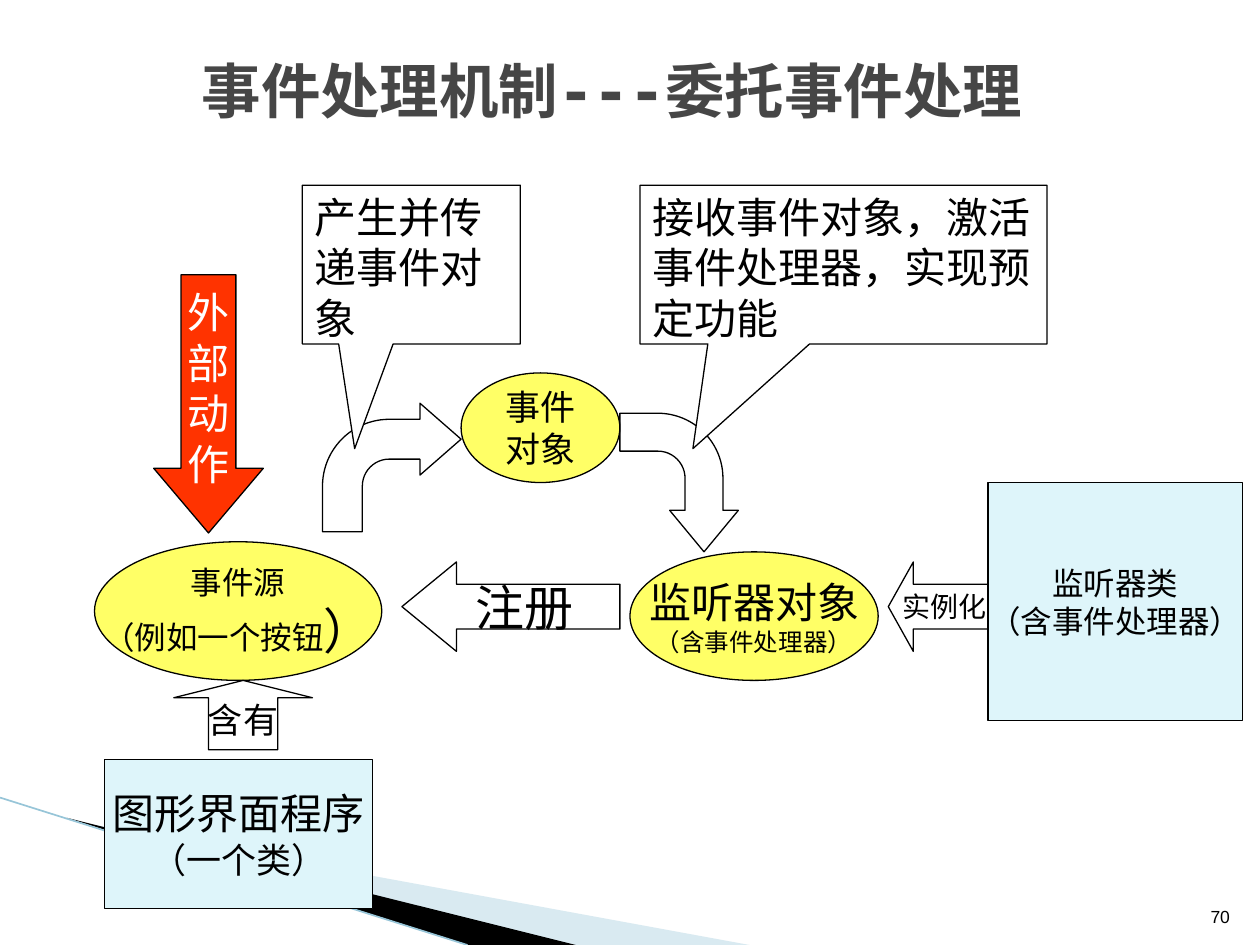
from dataclasses import dataclass

from lxml.etree import SubElement
from pptx import Presentation
from pptx.dml.color import RGBColor
from pptx.enum.shapes import MSO_CONNECTOR, MSO_SHAPE
from pptx.enum.text import MSO_ANCHOR, MSO_AUTO_SIZE, PP_ALIGN
from pptx.oxml.ns import qn
from pptx.util import Inches, Pt


@dataclass(frozen=True)
class Theme:
    ink: str = "000000"
    white: str = "FFFFFF"
    title: str = "464646"
    pale_blue: str = "DEF5FA"
    yellow: str = "FFFF66"
    red: str = "FF3300"
    band: str = "A0CBDC"
    band_line: str = "97C5D8"
    body_font: str = "Times New Roman"
    title_font: str = "DejaVu Sans Mono"
    number_font: str = "Arial"
    title_size: int = 34
    large: int = 28
    main: int = 24
    medium: int = 20
    small: int = 18
    label: int = 16
    note: int = 14
    number: int = 10
    outline: float = 0.75
    band_outline: float = 0.95


THEME = Theme()


@dataclass(frozen=True)
class Box:
    left: float
    top: float
    width: float
    height: float

    def inner(self, x, y, width, height):
        return Box(self.left + x, self.top + y, width, height)

    def point(self, x, y):
        return Inches(self.left + x), Inches(self.top + y)

    def lengths(self):
        return [Inches(v) for v in (self.left, self.top, self.width, self.height)]


def color(code):
    return RGBColor.from_string(code)


def add_run(paragraph, text, size, ink=THEME.ink, font=THEME.body_font, bold=False):
    run = paragraph.add_run()
    run.text = text
    run.font.size = Pt(size)
    run.font.name = font
    run.font.bold = bold
    run.font.color.rgb = color(ink)


def add_lines(frame, lines, align, ink=THEME.ink):
    for index, runs in enumerate(lines):
        paragraph = frame.add_paragraph() if index else frame.paragraphs[0]
        paragraph.alignment = align
        for text, size in runs:
            add_run(paragraph, text, size, ink)


def add_figure(slide, kind, box, fill=None, lines=(), adjust=(), ink=THEME.ink,
               align=PP_ALIGN.CENTER, anchor=MSO_ANCHOR.MIDDLE, wrap=False):
    figure = slide.shapes.add_shape(kind, *box.lengths())
    figure.shadow.inherit = False
    if fill:
        figure.fill.solid()
        figure.fill.fore_color.rgb = color(fill)
    else:
        figure.fill.background()
    figure.line.color.rgb = color(THEME.ink)
    figure.line.width = Pt(THEME.outline)
    for index, value in enumerate(adjust):
        figure.adjustments[index] = value
    figure.text_frame.word_wrap = wrap
    figure.text_frame.vertical_anchor = anchor
    add_lines(figure.text_frame, lines, align, ink)
    return figure


def add_band(slide, box, corners, fill, opacity=100):
    points = [box.point(*corner) for corner in corners]
    builder = slide.shapes.build_freeform(*points[0], scale=1.0)
    builder.add_line_segments(points[1:], close=True)
    band = builder.convert_to_shape()
    band.shadow.inherit = False
    band.fill.solid()
    band.fill.fore_color.rgb = color(fill)
    band.line.fill.background()
    if opacity < 100:
        tone = band._element.spPr.find(qn("a:solidFill"))[0]
        SubElement(tone, qn("a:alpha"), val=str(opacity * 1000))


def add_corner_bands(slide, box):
    add_band(slide, box, [(0.55, 0.18), (5.95, 1.17), (4.56, 1.17)], THEME.band, 40)
    add_band(slide, box, [(0.53, 0.16), (4.57, 1.17), (3.72, 1.17)], THEME.ink)
    edge = slide.shapes.add_connector(
        MSO_CONNECTOR.STRAIGHT, *box.point(0, 0), *box.point(3.71, 1.17))
    edge.line.color.rgb = color(THEME.band_line)
    edge.line.width = Pt(THEME.band_outline)
    SubElement(edge._element.spPr, qn("a:effectLst"))


def add_title(slide, box):
    title = slide.shapes.title
    title.left, title.top, title.width, title.height = box.lengths()
    frame = title.text_frame
    frame.word_wrap = True
    frame.auto_size = MSO_AUTO_SIZE.NONE
    frame.vertical_anchor = MSO_ANCHOR.MIDDLE
    paragraph = frame.paragraphs[0]
    paragraph.alignment = PP_ALIGN.LEFT
    add_run(paragraph, "事件处理机制---委托事件处理", THEME.title_size,
            THEME.title, THEME.title_font, True)


def add_page_number(slide, box):
    frame = slide.shapes.add_textbox(*box.lengths()).text_frame
    frame.word_wrap = True
    frame.vertical_anchor = MSO_ANCHOR.BOTTOM
    paragraph = frame.paragraphs[0]
    paragraph.alignment = PP_ALIGN.RIGHT
    add_run(paragraph, "70", THEME.number, font=THEME.number_font)


def add_listener_side(slide, box):
    add_figure(slide, MSO_SHAPE.RECTANGLE, box.inner(2.84, 0, 2.02, 1.89), THEME.pale_blue,
               [[("监听器类", THEME.small)], [("（含事件处理器）", THEME.small)]])
    add_figure(slide, MSO_SHAPE.OVAL, box.inner(0, 0.55, 1.97, 1.02), THEME.yellow,
               [[("监听器对象", THEME.main)], [("（含事件处理器）", THEME.note)]])
    add_figure(slide, MSO_SHAPE.LEFT_ARROW, box.inner(2.05, 0.63, 0.79, 0.71),
               lines=[[("实例化", THEME.label)]], adjust=(0.5, 0.28))


def add_event_flow(slide, box):
    add_figure(slide, MSO_SHAPE.LEFT_ARROW, box.inner(0.63, 1.5, 1.73, 0.71),
               lines=[[("注册", THEME.large)]], adjust=(0.5, 0.61))
    to_listener = add_figure(slide, MSO_SHAPE.BENT_ARROW, box.inner(2.28, 0.4, 1.1, 0.94),
                             adjust=(0.32, 0.29, 0.35, 0.55))
    to_listener.rotation = 90
    add_figure(slide, MSO_SHAPE.OVAL, box.inner(1.1, 0, 1.26, 0.87), THEME.yellow,
               [[("事件", THEME.medium)], [("对象", THEME.medium)]])
    add_figure(slide, MSO_SHAPE.BENT_ARROW, box.inner(0, 0.24, 1.1, 1.02),
               adjust=(0.31, 0.28, 0.32, 0.52))


def add_callouts(slide, box):
    callouts = [
        (0, 1.73, -0.26, "产生并传递事件对象"),
        (2.68, 3.23, -0.37, "接收事件对象，激活事件处理器，实现预定功能"),
    ]
    for x, width, tail, text in callouts:
        add_figure(slide, MSO_SHAPE.RECTANGULAR_CALLOUT, box.inner(x, 0, width, box.height),
                   THEME.white, [[(text, THEME.main)]], (tail, 1.16),
                   align=PP_ALIGN.LEFT, anchor=MSO_ANCHOR.TOP, wrap=True)


def add_source_side(slide, box):
    add_figure(slide, MSO_SHAPE.RECTANGLE, box.inner(0.08, 3.85, 2.13, 1.18), THEME.pale_blue,
               [[("图形界面程序", THEME.main)], [("（一个类）", THEME.medium)]])
    add_figure(slide, MSO_SHAPE.DOWN_ARROW, box.inner(0.47, 0, 0.87, 2.05), THEME.red,
               [[(letter, THEME.main)] for letter in "外部动作"], (0.5, 0.59), THEME.white)
    add_figure(slide, MSO_SHAPE.OVAL, box.inner(0, 2.12, 2.28, 1.1), THEME.yellow,
               [[("事件源", THEME.small)],
                [("（例如一个按钮", THEME.small), ("）", THEME.large)]])
    add_figure(slide, MSO_SHAPE.UP_ARROW, box.inner(0.63, 3.22, 1.1, 0.55),
               lines=[[("含有", THEME.medium)]], adjust=(0.5, 0.25))


def main():
    deck = Presentation()
    deck.slide_width, deck.slide_height = Inches(10), Inches(7.5)
    slide = deck.slides.add_slide(deck.slide_layouts[5])
    add_corner_bands(slide, Box(0, 6.33, 5.95, 1.17))
    add_title(slide, Box(1.5, 0.28, 8.5, 0.87))
    add_page_number(slide, Box(9.46, 7.01, 0.4, 0.4))
    add_listener_side(slide, Box(5, 3.83, 4.86, 1.89))
    add_event_flow(slide, Box(2.56, 2.96, 3.38, 2.21))
    add_callouts(slide, Box(2.4, 1.47, 5.91, 1.26))
    add_source_side(slide, Box(0.75, 2.18, 2.28, 5.03))
    deck.save("out.pptx")


if __name__ == "__main__":
    main()
